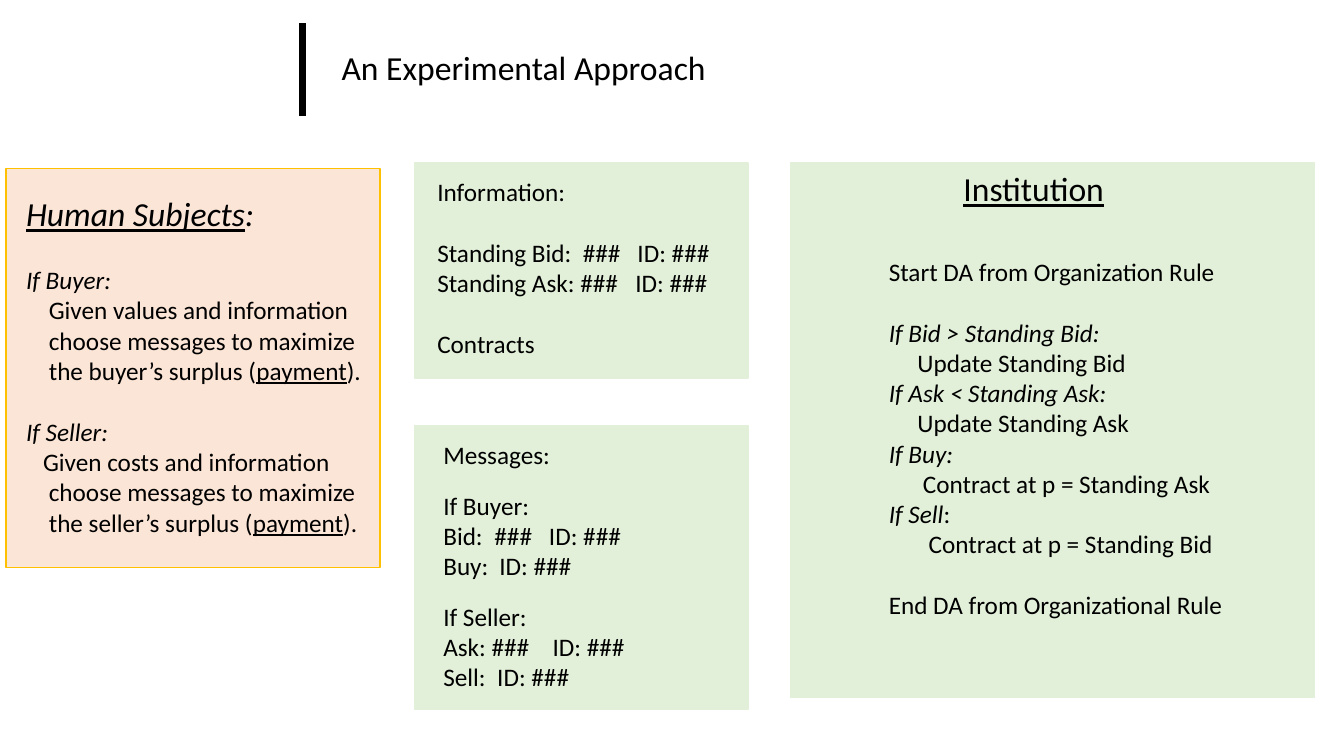
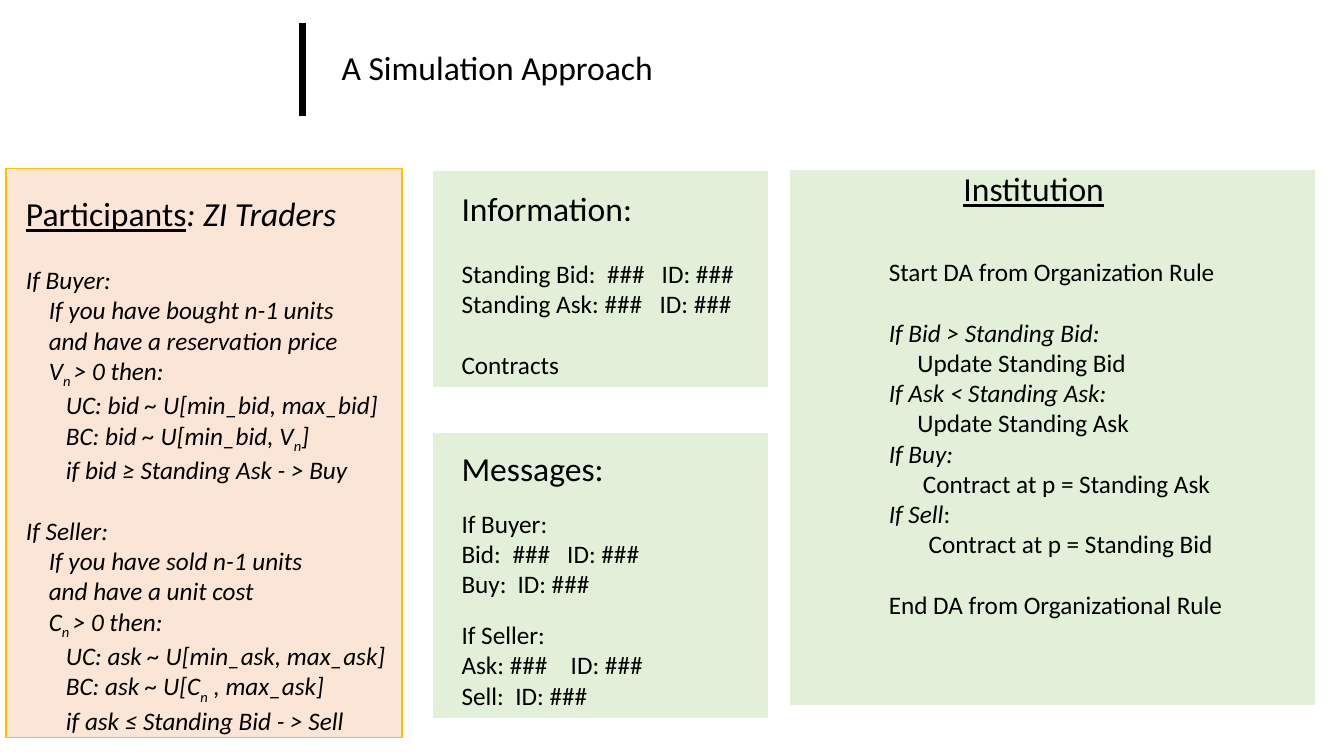
import pptx
import pptx.util
import pptx.dml.color
import pptx.enum.shapes
import pptx.oxml.ns
import lxml.etree

Pt = pptx.util.Pt
HUES = {"ink": "000000", "green": "E2F0D9", "peach": "FBE5D6", "gold": "FFC000"}
FLAGS = {"i": "italic", "u": "underline"}
BODY, HEAD = 18, 24
LINE, HALF = 22, 14.6  # gaps that stand for a full and a small empty line


def tint(name):
    return pptx.dml.color.RGBColor.from_string(HUES[name])


def node(up, tag, **attrs):
    return lxml.etree.SubElement(up, pptx.oxml.ns.qn(tag), attrs)


def row(*runs, size=BODY, gap=0, left=0, tabs=(), lead=None):
    """One paragraph; a run is plain text or (text, flags)."""
    runs = [(run, "") if isinstance(run, str) else run for run in runs]
    return {"runs": runs, "size": size, "left": left, "tabs": tabs,
            "form": {"space_before": Pt(gap), "line_spacing": lead}}


class Deck:
    def __init__(self):
        self.prs = pptx.Presentation()
        self.prs.slide_width, self.prs.slide_height = Pt(960), Pt(540)
        self.slide = None

    def page(self, title):
        self.slide = self.prs.slides.add_slide(self.prs.slide_layouts[6])
        self.text(236.9, 33.1, 630.7, 33.1, [row(title, size=HEAD, lead=0.9)])
        self.rule(216, 16.6, 82.8)

    def rule(self, x, top, end):
        kind = pptx.enum.shapes.MSO_CONNECTOR.STRAIGHT
        bar = self.slide.shapes.add_connector(kind, Pt(x), Pt(top), Pt(x), Pt(end))
        bar.line.color.rgb = tint("ink")
        bar.line.width = Pt(4.5)
        node(bar._element.spPr, "a:effectLst")

    def panel(self, x, y, w, h, fill="green", edge="green"):
        kind = pptx.enum.shapes.MSO_SHAPE.RECTANGLE
        box = self.slide.shapes.add_shape(kind, Pt(x), Pt(y), Pt(w), Pt(h))
        box.shadow.inherit = False
        box.fill.solid()
        box.fill.fore_color.rgb = tint(fill)
        box.line.color.rgb = tint(edge)
        box.line.width = Pt(1)

    def text(self, x, y, w, h, rows):
        box = self.slide.shapes.add_textbox(Pt(x), Pt(y), Pt(w), Pt(h))
        frame = box.text_frame
        frame.word_wrap = True
        for num, item in enumerate(rows):
            para = frame.add_paragraph() if num else frame.paragraphs[0]
            self.fill(para, item)

    def fill(self, para, item):
        props = para._p.get_or_add_pPr()
        if item["left"]:
            props.set("marL", str(Pt(item["left"])))
        if item["tabs"]:
            stops = node(props, "a:tabLst")
            for stop in item["tabs"]:
                node(stops, "a:tab", pos=str(Pt(stop)), algn="l")
        for key, value in item["form"].items():
            if value:
                setattr(para, key, value)
        for words, flags in item["runs"]:
            run = para.add_run()
            run.text = words
            form = {"name": "Calibri", "size": Pt(item["size"])}
            form.update({name: True for key, name in FLAGS.items() if key in flags})
            for key, value in form.items():
                setattr(run.font, key, value)
            run.font.color.rgb = tint("ink")
            if "s" in flags:
                run._r.get_or_add_rPr().set("baseline", "-25000")

    # Panels found on both slides
    def rules(self, top):
        self.panel(564.5, top, 374.4, 381.6)
        self.text(681.1, 116.6, 116, 36, [row(("Institution", "u"), size=HEAD)])
        self.text(627.8, 179.3, 275, 269, [
            row("Start DA from Organization Rule"),
            row(("If Bid > Standing Bid:", "i"), gap=LINE),
            row("Update Standing Bid", left=20.4),
            row(("If Ask < Standing Ask:", "i")),
            row("Update Standing Ask", left=20.4),
            row(("If Buy:", "i")),
            row("Contract at p = Standing Ask", left=24.4),
            row(("If Sell", "i"), ":"),
            row("Contract at p = Standing Bid", left=28.5),
            row("End DA from Organizational Rule", gap=LINE)])

    def info(self, x, y, at, size):
        self.panel(x, y, 238.3, 153.4)
        self.text(*at, 225, 140, [
            row("Information:", size=size),
            row("Standing Bid:\t###\tID: ###", gap=LINE, tabs=(104, 143)),
            row("Standing Ask: ###\tID: ###", tabs=(141.5,)),
            row("Contracts", gap=LINE)])

    def notes(self, x, y, at, size):
        self.panel(x, y, 238.3, 203)
        self.text(*at, 200, 196.6, [
            row("Messages:", size=size),
            row("If Buyer:", gap=HALF),
            row("Bid:\t###\tID: ###", tabs=(36.5, 75.5)),
            row("Buy:\tID: ###", tabs=(40,)),
            row("If Seller:", gap=HALF),
            row("Ask: ###\tID: ###", tabs=(78,)),
            row("Sell:\tID: ###", tabs=(38.5,))])

    def actors(self, w, h, rows):
        self.panel(4.3, 120.2, w, h, "peach", "gold")
        self.text(11.5, 134.6, w + 8, h - 20, rows)


def goal(who, given, left):
    """How a human subject acts in one role."""
    return [
        row((f"If {who.title()}:", "i"), gap=LINE),
        row(f"Given {given} and information", left=left),
        row("choose messages to maximize", left=16.3),
        row(f"the {who}’s surplus (", ("payment", "u"), ").", left=16.3)]


def plan(who, done, owns, sign, draw, limit, act):
    """How a simulated trader acts in one role."""
    steps = [
        [f"If you have {done} n-1 units"],
        [owns],
        [sign, ("n ", "s"), "> 0 then:"]]
    moves = [[f"UC: {draw} ~ U[min_{draw}, max_{draw}]"], limit, [act]]
    rows = [row((f"If {who}:", "i"), gap=LINE)]
    for left, group in ((16.3, steps), (28.5, moves)):
        for runs in group:
            pairs = [(run, "") if isinstance(run, str) else run for run in runs]
            rows.append(row(*[(words, flags + "i") for words, flags in pairs], left=left))
    return rows


def main():
    deck = Deck()

    # Human subjects
    deck.page("An Experimental Approach")
    deck.rules(116.6)
    deck.info(295.9, 116.6, (305.3, 122.4), BODY)
    deck.notes(295.9, 303.8, (309.6, 310.3), BODY)
    deck.actors(267.1, 285.1, [
        row(("Human Subjects", "iu"), (":", "i"), size=HEAD),
        *goal("buyer", "values", 16.3),
        *goal("seller", "costs", 12.2)])

    # Simulated traders
    deck.page("A Simulation Approach")
    deck.rules(121.7)
    deck.info(309.6, 122.4, (322.6, 130.3), HEAD)
    deck.notes(309.6, 309.6, (322.6, 316.1), HEAD)
    deck.actors(283, 406.8, [
        row(("Participants", "u"), (": ZI Traders", "i"), size=HEAD),
        *plan("Buyer", "bought", "and have a reservation price", "V", "bid",
              ["BC: bid ~ U[min_bid, V", ("n", "s"), "]"],
              "if bid ≥ Standing Ask - > Buy"),
        *plan("Seller", "sold", "and have a unit cost", "C", "ask",
              ["BC: ask ~ U[C", ("n", "s"), " , max_ask]"],
              "if ask ≤ Standing Bid - > Sell")])

    deck.prs.save("out.pptx")


if __name__ == "__main__":
    main()
